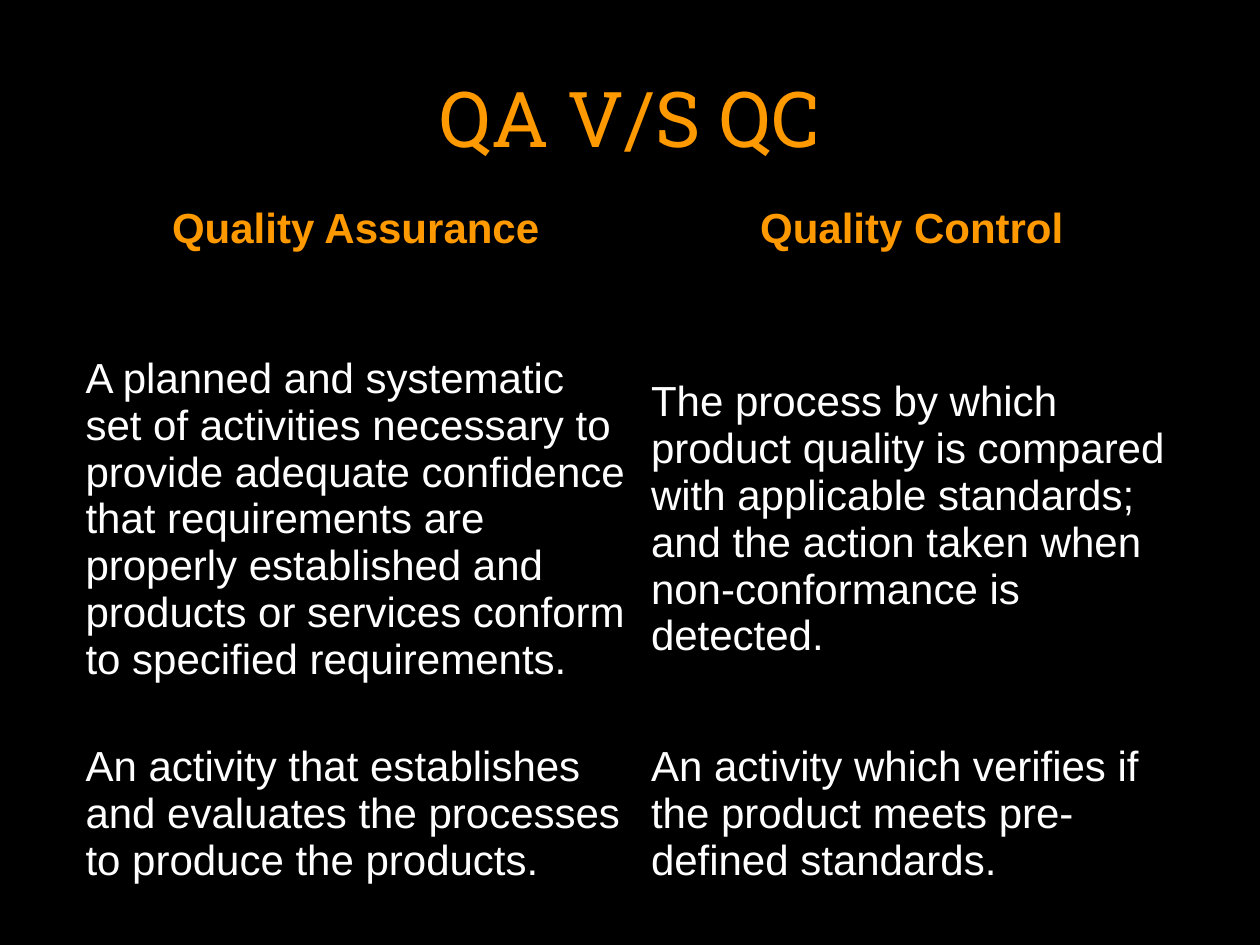
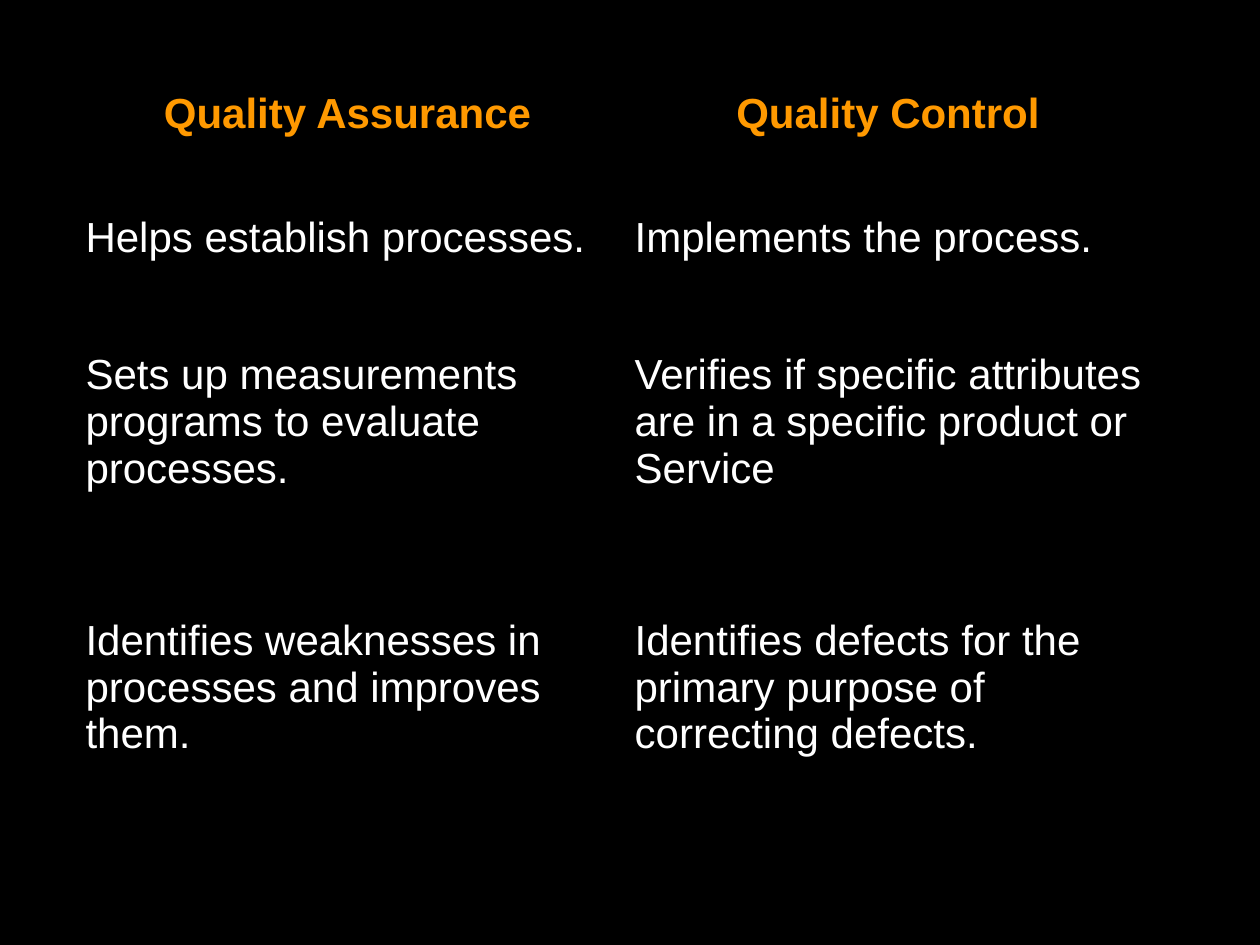
from lxml.etree import SubElement
from pptx import Presentation
from pptx.dml.color import RGBColor
from pptx.enum.text import MSO_ANCHOR, PP_ALIGN
from pptx.oxml.ns import qn
from pptx.util import Cm, Pt

COLORS = {"background": "000000", "accent": "FF9900", "text": "FFFFFF", "border": "000000"}
TITLE_ONLY, BLANK = 5, 6
TITLE_BOX = {"left": 1.27, "top": 0.76, "width": 22.86, "height": 3.18}
TABLE_LEFT = 1.47
BORDER_WIDTH = Pt(0.45)

TITLE_FORMAT = {"name": "Roboto Slab", "size": Pt(44), "bold": False, "color": "accent"}
HEADING_FORMAT = {"name": "Arial", "size": Pt(24), "bold": True, "color": "accent"}
BODY_FORMAT = {**HEADING_FORMAT, "bold": False, "color": "text"}

HEADINGS = ("Quality Assurance", "Quality Control")
SLIDES = [
    {
        "title": "QA V/S QC",
        "top": 4.01,
        "columns": (11.4, 11.02),
        "rows": (2.51, 7.9, 3.99),
        "comparisons": [
            ("A planned and systematic set of activities necessary to provide adequate "
             "confidence that requirements are properly established and products or "
             "services conform to specified requirements.",
             "The process by which product quality is compared with applicable standards; "
             "and the action taken when non-conformance is detected."),
            ("An activity that establishes and evaluates the processes to produce the products.",
             "An activity which verifies if the product meets pre-defined standards."),
        ],
    },
    {
        "title": None,
        "top": 1.7,
        "columns": (11.07, 10.72),
        "rows": (2.06, 2.06, 5.36, 5.36),
        "comparisons": [
            ("Helps establish processes.", "Implements the process."),
            ("Sets up measurements programs to evaluate processes.",
             "Verifies if specific attributes are in a specific product or Service"),
            ("Identifies weaknesses in processes and improves them.",
             "Identifies defects for the primary purpose of correcting defects."),
        ],
    },
]


def rgb(color_name):
    return RGBColor.from_string(COLORS[color_name])


def write_text(text_frame, text, text_format, alignment):
    text_frame.text = text
    paragraph = text_frame.paragraphs[0]
    paragraph.alignment = alignment
    font = paragraph.runs[0].font
    for name, value in text_format.items():
        if name == "color":
            font.color.rgb = rgb(value)
        else:
            setattr(font, name, value)


def add_borders(cell):
    properties = cell._tc.get_or_add_tcPr()
    for side in ("a:lnL", "a:lnR", "a:lnT", "a:lnB"):
        line = SubElement(properties, qn(side), w=str(BORDER_WIDTH))
        fill = SubElement(line, qn("a:solidFill"))
        SubElement(fill, qn("a:srgbClr"), val=COLORS["border"])


def add_title(slide, text):
    title = slide.shapes.title
    for name, value in TITLE_BOX.items():
        setattr(title, name, Cm(value))
    title.text_frame.vertical_anchor = MSO_ANCHOR.MIDDLE
    write_text(title.text_frame, text, TITLE_FORMAT, PP_ALIGN.CENTER)


def add_comparison_table(slide, content):
    widths, heights = content["columns"], content["rows"]
    table = slide.shapes.add_table(
        len(heights), len(widths), Cm(TABLE_LEFT), Cm(content["top"]),
        Cm(sum(widths)), Cm(sum(heights))).table
    table.first_row = table.horz_banding = False
    for column, width in zip(table.columns, widths):
        column.width = Cm(width)
    for row, height in zip(table.rows, heights):
        row.height = Cm(height)

    for row_index, texts in enumerate([HEADINGS, *content["comparisons"]]):
        is_heading = row_index == 0
        for column_index, text in enumerate(texts):
            cell = table.cell(row_index, column_index)
            add_borders(cell)
            cell.fill.solid()
            cell.fill.fore_color.rgb = rgb("background")
            cell.vertical_anchor = MSO_ANCHOR.TOP if is_heading else MSO_ANCHOR.MIDDLE
            write_text(cell.text_frame, text,
                       HEADING_FORMAT if is_heading else BODY_FORMAT,
                       PP_ALIGN.CENTER if is_heading else PP_ALIGN.LEFT)


def main():
    presentation = Presentation()
    presentation.slide_width, presentation.slide_height = Cm(25.4), Cm(19.05)
    background = presentation.slide_master.background.fill
    background.solid()
    background.fore_color.rgb = rgb("background")

    for content in SLIDES:
        layout = TITLE_ONLY if content["title"] else BLANK
        slide = presentation.slides.add_slide(presentation.slide_layouts[layout])
        if content["title"]:
            add_title(slide, content["title"])
        add_comparison_table(slide, content)
    presentation.save("out.pptx")


if __name__ == "__main__":
    main()
